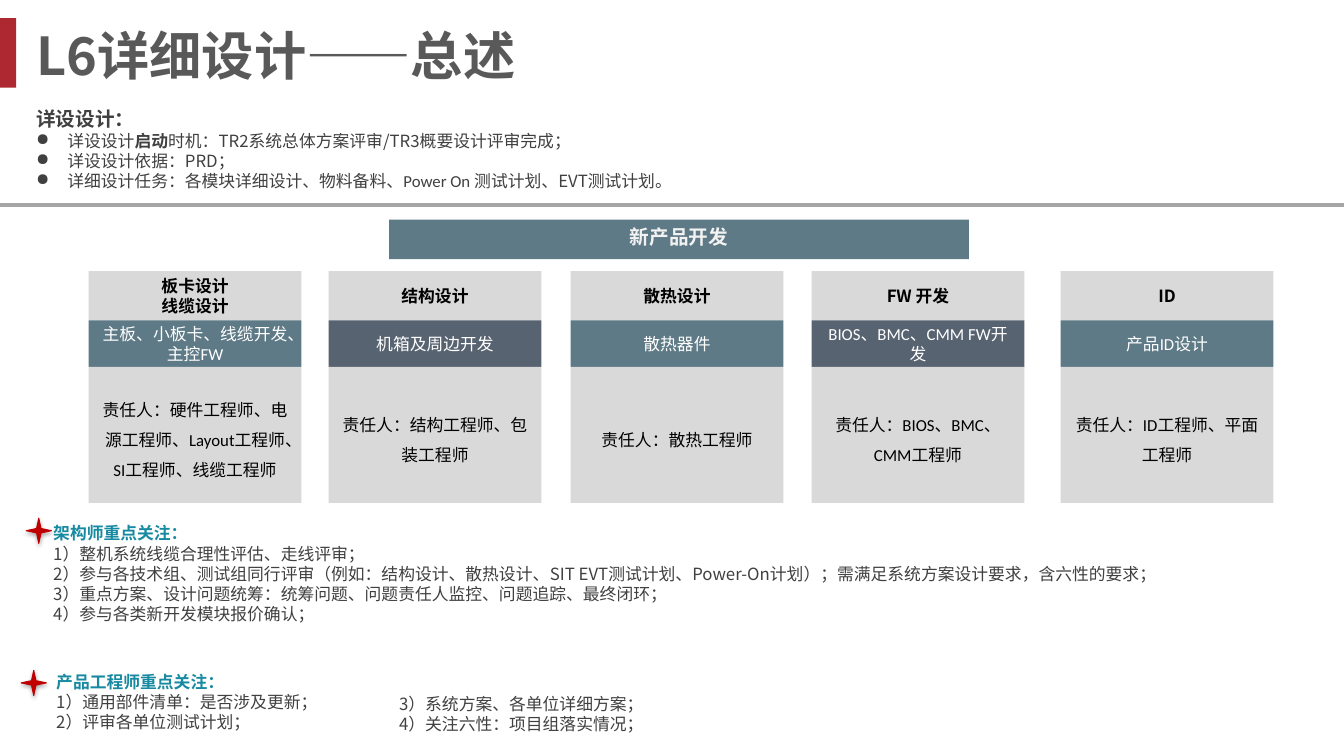
from lxml import etree
from pptx import Presentation
from pptx.dml.color import RGBColor
from pptx.enum.lang import MSO_LANGUAGE_ID as Language
from pptx.enum.shapes import MSO_CONNECTOR as Connector, MSO_SHAPE as Shape
from pptx.enum.text import MSO_ANCHOR as Anchor, PP_ALIGN as Align
from pptx.oxml import parse_xml
from pptx.oxml.ns import nsdecls, qn
from pptx.util import Inches, Pt

LATIN = "Calibri"
CHINESE = "Noto Sans CJK SC"
TEAL, SLATE, LIGHT_GREY = "5E7A86", "586371", "D9D9D9"
DARK, ACCENT, RED = "404040", "178AA1", "C00000"


def color(hex_value):
    return RGBColor.from_string(hex_value)


def add_run(paragraph, text, size, hex_value, bold=False, name=LATIN, east_asian=None):
    """Add a run; east_asian defaults to the same font as name."""
    run = paragraph.add_run()
    run.text = text
    font = run.font
    font.size, font.bold, font.name = Pt(size), bold, name
    font.color.rgb = color(hex_value)
    font.language_id = Language.SIMPLIFIED_CHINESE
    latin = font._element.find(qn("a:latin"))
    latin.addnext(parse_xml(f'<a:ea {nsdecls("a")} typeface="{east_asian or name}"/>'))


def next_paragraph(frame):
    """Return the empty first paragraph, or a new one."""
    first = frame.paragraphs[0]
    return frame.add_paragraph() if first.runs else first


def add_block(shapes, kind, left, top, width, height, fill):
    shape = shapes.add_shape(kind, Inches(left), Inches(top), Inches(width), Inches(height))
    shape.shadow.inherit = False
    shape.fill.solid()
    shape.fill.fore_color.rgb = color(fill)
    shape.line.fill.background()
    return shape


def add_text_frame(slide, left, top, width, height):
    box = slide.shapes.add_textbox(Inches(left), Inches(top), Inches(width), Inches(height))
    box.text_frame.word_wrap = True
    return box.text_frame


def add_title(slide, left, top, width, height):
    add_block(slide.shapes, Shape.RECTANGLE, 0, top, 0.16, 0.69, "AD2830")
    title = slide.shapes.title
    title.left, title.top = Inches(left), Inches(top)
    title.width, title.height = Inches(width), Inches(height)
    frame = title.text_frame
    frame.vertical_anchor = Anchor.MIDDLE
    paragraph = frame.paragraphs[0]
    paragraph.alignment = Align.LEFT
    add_run(paragraph, "L6详细设计——总述", 37.3, "595959", True, CHINESE)


def add_introduction(slide, left, top, width, height):
    frame = add_text_frame(slide, left, top, width, height)
    add_run(next_paragraph(frame), "详设设计：", 14, DARK, True)
    bullets = [
        [("详设设计", LATIN, False), ("启动", LATIN, True), ("时机：", LATIN, False),
         ("TR2", CHINESE, False), ("系统总体方案评审", LATIN, False),
         ("/TR3", CHINESE, False), ("概要设计评审完成；", LATIN, False)],
        [("详设设计依据：", LATIN, False), ("PRD", CHINESE, False), ("；", LATIN, False)],
        [("详细设计任务：各模块详细设计、物料备料、Power On 测试计划、", LATIN, False),
         ("EVT", CHINESE, False), ("测试计划。", LATIN, False)],
    ]
    for runs in bullets:
        paragraph = next_paragraph(frame)
        paragraph.line_spacing = Pt(14.4)
        properties = paragraph._p.get_or_add_pPr()
        properties.set("marL", str(Inches(0.31)))
        properties.set("indent", str(-Inches(0.31)))
        etree.SubElement(properties, qn("a:buChar")).set("char", "●")
        for text, name, bold in runs:
            add_run(paragraph, text, 12, DARK, bold, name)


def add_divider(slide, top):
    line = slide.shapes.add_connector(
        Connector.STRAIGHT, 0, Inches(top), Inches(13.33), Inches(top))
    line.line.color.rgb = color("A6A6A6")
    line.line.width = Pt(3)
    etree.SubElement(line._element.spPr, qn("a:effectLst"))


def add_banner(slide, left, top, width, height):
    banner = add_block(slide.shapes, Shape.RECTANGLE, left, top, width, height, TEAL)
    frame = banner.text_frame
    frame.vertical_anchor = Anchor.TOP
    paragraph = frame.paragraphs[0]
    paragraph.alignment = Align.CENTER
    add_run(paragraph, "新产品开发", 14, "F2F2F2", True)


def add_discipline(slide, left, top, width, heading, heading_font, scope, scope_fill, owners):
    """Stack heading, scope and owners of one discipline in a group."""
    group = slide.shapes.add_group_shape()
    rows = [
        (0.49, LIGHT_GREY, heading, "000000", True, heading_font, 1.0),
        (0.46, scope_fill, [scope], "FFFFFF", False, LATIN, 1.0),
        (1.35, LIGHT_GREY, ["责任人：" + owners], "000000", False, LATIN, 1.5),
    ]
    for height, fill, lines, text_color, bold, name, spacing in rows:
        cell = add_block(group.shapes, Shape.RECTANGLE, left, top, width, height, fill)
        frame = cell.text_frame
        frame.word_wrap = True
        frame.vertical_anchor = Anchor.MIDDLE
        for text in lines:
            paragraph = next_paragraph(frame)
            paragraph.alignment = Align.CENTER
            paragraph.line_spacing = spacing
            add_run(paragraph, text, 12, text_color, bold, name, LATIN)
        top += height


def add_star(slide, left, top):
    star = add_block(slide.shapes, Shape.STAR_4_POINT, left, top, 0.25, 0.25, RED)
    star.line.color.rgb = color(RED)
    star.line.width = Pt(0.75)
    star._element.spPr.find(qn("a:effectLst")).append(parse_xml(
        f'<a:outerShdw {nsdecls("a")} blurRad="{Pt(3.1)}" dist="{Pt(1.8)}" dir="5400000">'
        '<a:srgbClr val="000000"><a:alpha val="35000"/></a:srgbClr></a:outerShdw>'))


def add_notes_list(slide, left, top, width, height, items, heading=None):
    frame = add_text_frame(slide, left, top, width, height)
    if heading:
        add_run(next_paragraph(frame), heading, 12, ACCENT, True, CHINESE)
    for item in items:
        add_run(next_paragraph(frame), item, 12, DARK, False, CHINESE)


def main():
    presentation = Presentation()
    presentation.slide_width, presentation.slide_height = Inches(13.33), Inches(7.5)
    slide = presentation.slides.add_slide(presentation.slide_layouts[5])

    add_title(slide, 0.26, 0.18, 10.81, 0.73)
    add_introduction(slide, 0.26, 1.01, 12.58, 0.94)
    add_divider(slide, 2.03)
    add_banner(slide, 3.86, 2.18, 5.75, 0.39)

    disciplines = [
        (0.88, ["板卡设计", "线缆设计"], LATIN, "主板、小板卡、线缆开发、主控FW", TEAL,
         "硬件工程师、电源工程师、Layout工程师、SI工程师、线缆工程师"),
        (3.26, ["结构设计"], LATIN, "机箱及周边开发", SLATE, "结构工程师、包装工程师"),
        (5.66, ["散热设计"], LATIN, "散热器件", TEAL, "散热工程师"),
        (8.05, ["FW 开发"], CHINESE, "BIOS、BMC、CMM FW开发", SLATE, "BIOS、BMC、CMM工程师"),
        (10.52, ["ID"], CHINESE, "产品ID设计", TEAL, "ID工程师、平面工程师"),
    ]
    for left, *texts in disciplines:
        add_discipline(slide, left, 2.69, 2.11, *texts)

    add_notes_list(slide, 0.43, 5.14, 12.9, 1.35, [
        "1）整机系统线缆合理性评估、走线评审；",
        "2）参与各技术组、测试组同行评审（例如：结构设计、散热设计、SIT EVT测试计划、"
        "Power-On计划）；需满足系统方案设计要求，含六性的要求；",
        "3）重点方案、设计问题统筹：统筹问题、问题责任人监控、问题追踪、最终闭环；",
        "4）参与各类新开发模块报价确认；",
    ], "架构师重点关注：")
    add_star(slide, 0.26, 5.14)
    add_notes_list(slide, 0.46, 6.61, 3.4, 0.81, [
        "1）通用部件清单：是否涉及更新；", "2）评审各单位测试计划；",
    ], "产品工程师重点关注：")
    add_star(slide, 0.21, 6.65)
    add_notes_list(slide, 3.86, 6.83, 3.15, 0.57, [
        "3）系统方案、各单位详细方案；", "4）关注六性：项目组落实情况；",
    ])
    presentation.save("out.pptx")


if __name__ == "__main__":
    main()
